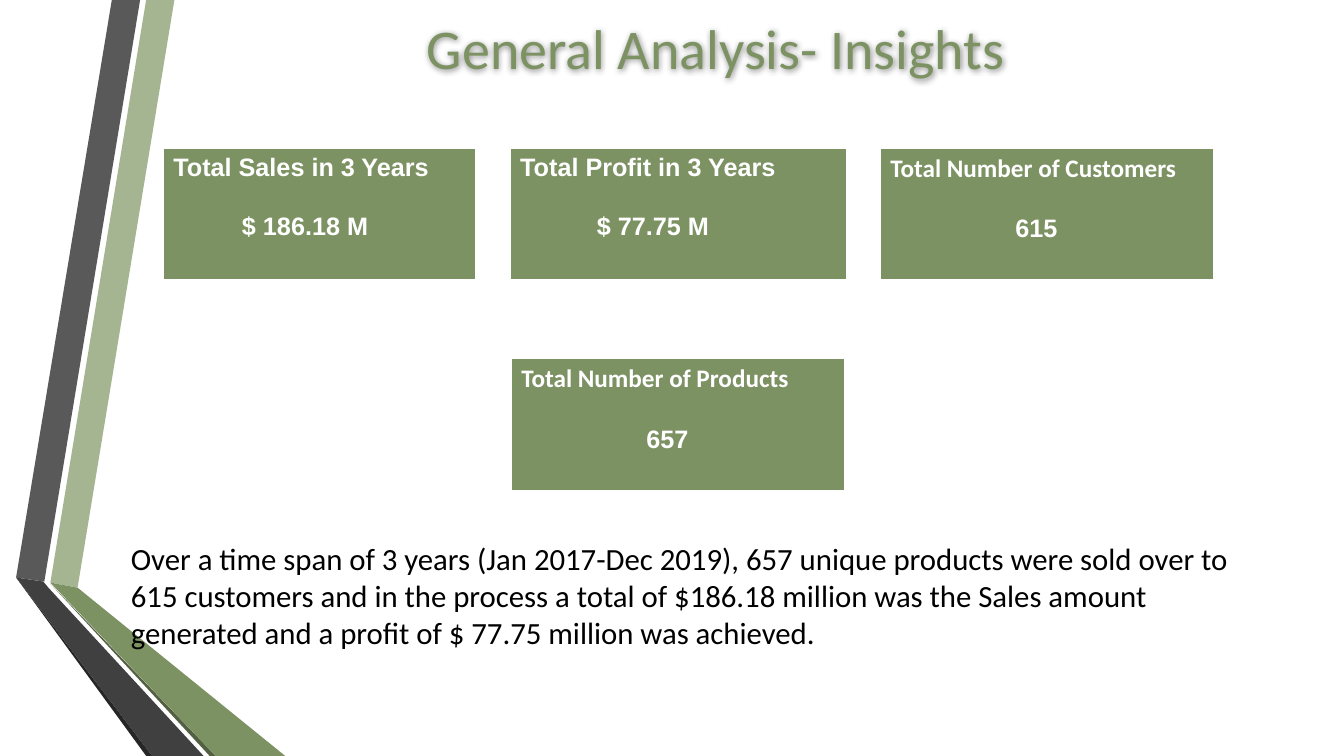
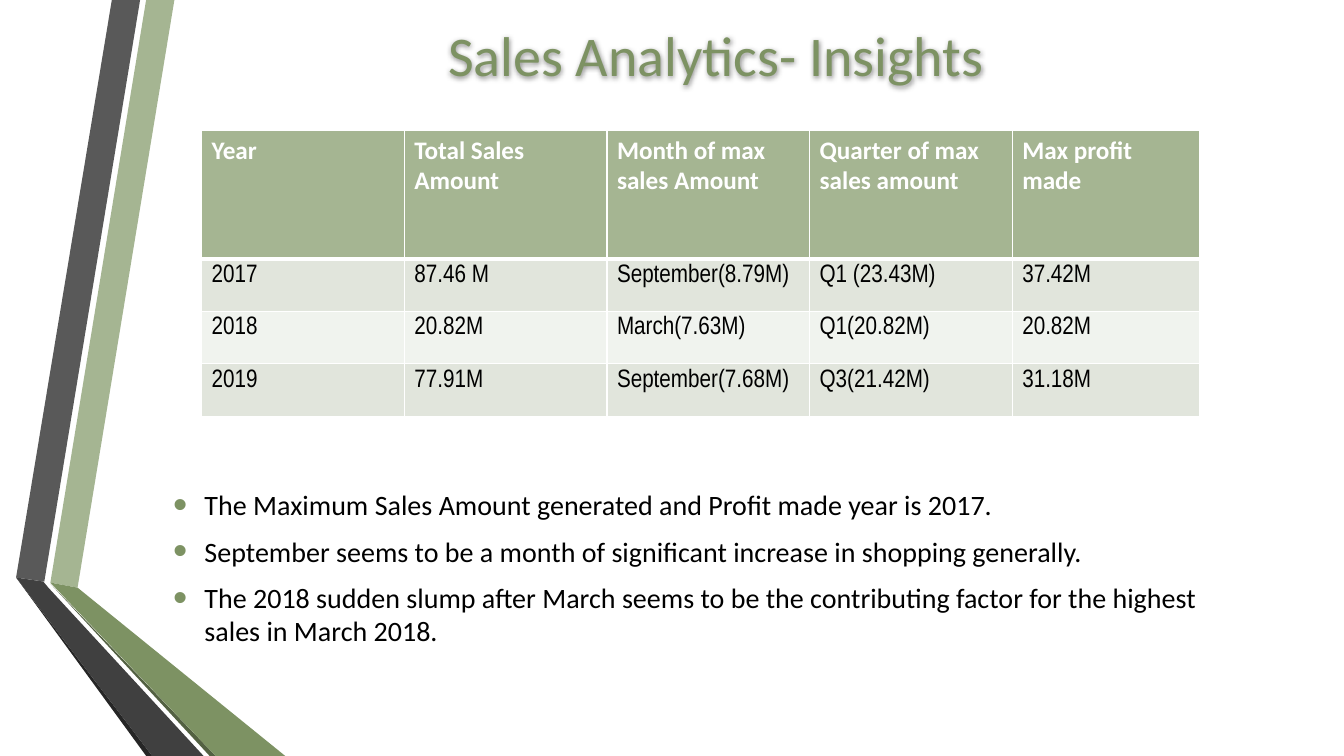
from lxml import etree
from pptx import Presentation
from pptx.dml.color import RGBColor
from pptx.enum.text import MSO_ANCHOR, MSO_AUTO_SIZE, PP_ALIGN
from pptx.oxml.ns import qn
from pptx.util import Pt

PX = 9144
SLIDE_SIZE = (1333, 750)
TITLE_ONLY = 5
MIDDLE = MSO_ANCHOR.MIDDLE
NO_AUTOFIT = MSO_AUTO_SIZE.NONE
CENTER = PP_ALIGN.CENTER

WHITE = RGBColor(0xFF, 0xFF, 0xFF)
BLACK = RGBColor(0x00, 0x00, 0x00)
GREEN = RGBColor(0x7D, 0x92, 0x63)
LIGHT_GREEN = RGBColor(0xA5, 0xB5, 0x92)
DARK_GREEN = RGBColor(0x53, 0x61, 0x42)
GRAY = RGBColor(0x59, 0x59, 0x59)
DARK_GRAY = RGBColor(0x40, 0x40, 0x40)
CHARCOAL = RGBColor(0x26, 0x26, 0x26)
BAND_DARK = RGBColor(0xE1, 0xE5, 0xDC)
BAND_LIGHT = RGBColor(0xF0, 0xF3, 0xEE)

BODY_FONT = "Calibri"
NUMBER_FONT = "Arial"
TABLE_FONT = "Arial Narrow"

RIBBONS = [
    (LIGHT_GREEN, [(50, 578), (77, 583), (173, 0), (145, 0)]),
    (GRAY, [(139, 0), (111, 0), (16, 573), (44, 577)]),
    (CHARCOAL, [(16, 573), (145, 750), (151, 750)]),
    (DARK_GREEN, [(50, 579), (208, 750), (214, 750)]),
    (GREEN, [(50, 578), (214, 750), (283, 750), (77, 583)]),
    (DARK_GRAY, [(202, 750), (48, 583), (43, 577), (16, 573), (151, 750)]),
]

CARDS = [
    ((162, 147, 310, 132), "Total Sales in 3 Years", NUMBER_FONT, "$ 186.18 M", 68),
    ((506, 147, 334, 132), "Total Profit in 3 Years", NUMBER_FONT, "$ 77.75 M", 76),
    ((873, 147, 331, 132), "Total Number of Customers", BODY_FONT, "615", 124),
    ((507, 356, 331, 132), "Total Number of Products", BODY_FONT, "657", 124),
]

SUMMARY = (
    "Over a time span of 3 years (Jan 2017-Dec 2019), 657 unique products were sold over to "
    "615 customers and in the process a total of $186.18 million was the Sales amount "
    "generated and a profit of $ 77.75 million was achieved."
)

SALES_COLUMNS = [201, 201, 201, 201, 186]
SALES_HEADER_HEIGHT = 128
SALES_ROWS = [
    ["Year", "Total Sales Amount", "Month of max sales Amount",
     "Quarter of max sales amount", "Max profit made"],
    ["2017", "87.46 M", "September(8.79M)", "Q1 (23.43M)", "37.42M"],
    ["2018", "20.82M", "March(7.63M)", "Q1(20.82M)", "20.82M"],
    ["2019", "77.91M", "September(7.68M)", "Q3(21.42M)", "31.18M"],
]

FINDINGS = [
    "The Maximum Sales Amount generated and Profit made year is 2017.",
    "September seems to be a month of significant increase in shopping generally.",
    "The 2018 sudden slump after March seems to be the contributing factor for the highest "
    "sales in March 2018.",
]


def to_emu(box):
    """Turn a sequence of px lengths into EMU."""
    return [length * PX for length in box]


def add_element(parent, tag, **attributes):
    """Append a DrawingML element and return it."""
    element = etree.SubElement(parent, qn(tag))
    for name, value in attributes.items():
        element.set(name, str(value))
    return element


def write_text(paragraph, text, *, font=BODY_FONT, size=18, color=BLACK, bold=False,
               align=None, indent=0, before=0, after=0):
    """Fill a paragraph with one formatted run."""
    run = paragraph.add_run()
    run.text = text
    run.font.name = font
    run.font.size = Pt(size)
    run.font.bold = bold
    run.font.color.rgb = color
    paragraph.alignment = align
    paragraph.space_before = Pt(before)
    paragraph.space_after = Pt(after)
    if indent:
        paragraph._p.get_or_add_pPr().set("marL", str(indent * PX))


def add_bullet(paragraph, hanging):
    """Give a paragraph a green hanging bullet."""
    properties = paragraph._p.get_or_add_pPr()
    properties.set("indent", str(-hanging * PX))
    color = add_element(properties, "a:buClr")
    add_element(color, "a:srgbClr", val=GREEN)
    add_element(properties, "a:buSzPct", val=145000)
    add_element(properties, "a:buFont", typeface="Arial")
    add_element(properties, "a:buChar", char="•")


def style_cell(cell, fill, top_width, bottom_width):
    """Set a cell's fill and white borders."""
    properties = cell._tc.get_or_add_tcPr()
    for side, width in (("L", 1), ("R", 1), ("T", top_width), ("B", bottom_width)):
        line = add_element(properties, f"a:ln{side}", w=Pt(width))
        add_element(add_element(line, "a:solidFill"), "a:srgbClr", val=WHITE)
    cell.fill.solid()
    cell.fill.fore_color.rgb = fill


def add_plain_table(slide, box, rows, columns):
    """Add a table without style banding."""
    table = slide.shapes.add_table(rows, columns, *to_emu(box)).table
    table.first_row = False
    table.horz_banding = False
    return table


def add_text_box(slide, box):
    """Add a wrapping text box and return its text frame."""
    frame = slide.shapes.add_textbox(*to_emu(box)).text_frame
    frame.word_wrap = True
    return frame


def add_ribbons(slide, layout):
    """Draw the folded ribbons and move them to the shared layout."""
    for index, (color, points) in enumerate(RIBBONS):
        builder = slide.shapes.build_freeform(*points[0], scale=PX)
        builder.add_line_segments(points[1:], close=True)
        shape = builder.convert_to_shape()
        shape.fill.solid()
        shape.fill.fore_color.rgb = color
        shape.line.fill.background()
        shape.shadow.inherit = False
        shape.name = f"Ribbon {index + 1}"
        shape.element.nvSpPr.cNvPr.id = 100 + index
        layout.shapes.element.insert(2 + index, shape.element)


def add_title(slide, box, text):
    """Place the title and give its text a soft shadow."""
    title = slide.shapes.title
    title.left, title.top, title.width, title.height = to_emu(box)
    frame = title.text_frame
    frame.auto_size = NO_AUTOFIT
    frame.vertical_anchor = MIDDLE
    write_text(frame.paragraphs[0], text, size=40, color=GREEN, align=CENTER)
    effects = add_element(title.element.spPr, "a:effectLst")
    shadow = add_element(effects, "a:outerShdw", blurRad=50800, dist=0, dir=0)
    add_element(add_element(shadow, "a:srgbClr", val=BLACK), "a:alpha", val=45000)


def add_card(slide, box, label, label_font, value, indent):
    """Add a green card with a label and a figure."""
    cell = add_plain_table(slide, box, 1, 1).cell(0, 0)
    style_cell(cell, GREEN, 1, 3)
    frame = cell.text_frame
    write_text(frame.paragraphs[0], label, font=label_font, color=WHITE, bold=True)
    write_text(frame.add_paragraph(), value, font=NUMBER_FONT, color=WHITE, bold=True,
               indent=indent, before=22)


def add_sales_table(slide, box):
    """Add the yearly sales table inside a box."""
    table = add_plain_table(slide, box, len(SALES_ROWS), len(SALES_COLUMNS))
    for column, width in zip(table.columns, SALES_COLUMNS):
        column.width = width * PX
    row_height = (box[3] - SALES_HEADER_HEIGHT) // (len(SALES_ROWS) - 1)
    for row_index, texts in enumerate(SALES_ROWS):
        header = row_index == 0
        table.rows[row_index].height = (SALES_HEADER_HEIGHT if header else row_height) * PX
        band = BAND_DARK if row_index % 2 else BAND_LIGHT
        for column_index, text in enumerate(texts):
            cell = table.cell(row_index, column_index)
            style_cell(cell, LIGHT_GREEN if header else band,
                       3 if row_index == 1 else 1, 3 if header else 1)
            write_text(cell.text_frame.paragraphs[0], text, bold=header,
                       font=BODY_FONT if header else TABLE_FONT,
                       color=WHITE if header else BLACK)


def add_findings(slide, box):
    """Add the bulleted findings."""
    frame = add_text_box(slide, box)
    for index, text in enumerate(FINDINGS):
        paragraph = frame.add_paragraph() if index else frame.paragraphs[0]
        write_text(paragraph, text, size=20, indent=31, after=9)
        add_bullet(paragraph, 31)


def build_general_slide(slide):
    """Build the slide with the overall figures."""
    add_title(slide, (162, 0, 1096, 93), "General Analysis- Insights")
    for card in CARDS:
        add_card(slide, *card)
    summary = add_text_box(slide, (120, 531, 1138, 121))
    write_text(summary.paragraphs[0], SUMMARY, size=22)


def build_sales_slide(slide):
    """Build the slide with sales by year."""
    add_title(slide, (162, 0, 1096, 108), "Sales Analytics- Insights")
    add_sales_table(slide, (200, 129, 990, 284))
    add_findings(slide, (162, 479, 1096, 180))


def main():
    """Build and save the presentation."""
    presentation = Presentation()
    presentation.slide_width, presentation.slide_height = to_emu(SLIDE_SIZE)
    layout = presentation.slide_layouts[TITLE_ONLY]
    slides = [presentation.slides.add_slide(layout) for _ in range(2)]
    add_ribbons(slides[0], layout)
    build_general_slide(slides[0])
    build_sales_slide(slides[1])
    presentation.save("out.pptx")


if __name__ == "__main__":
    main()
